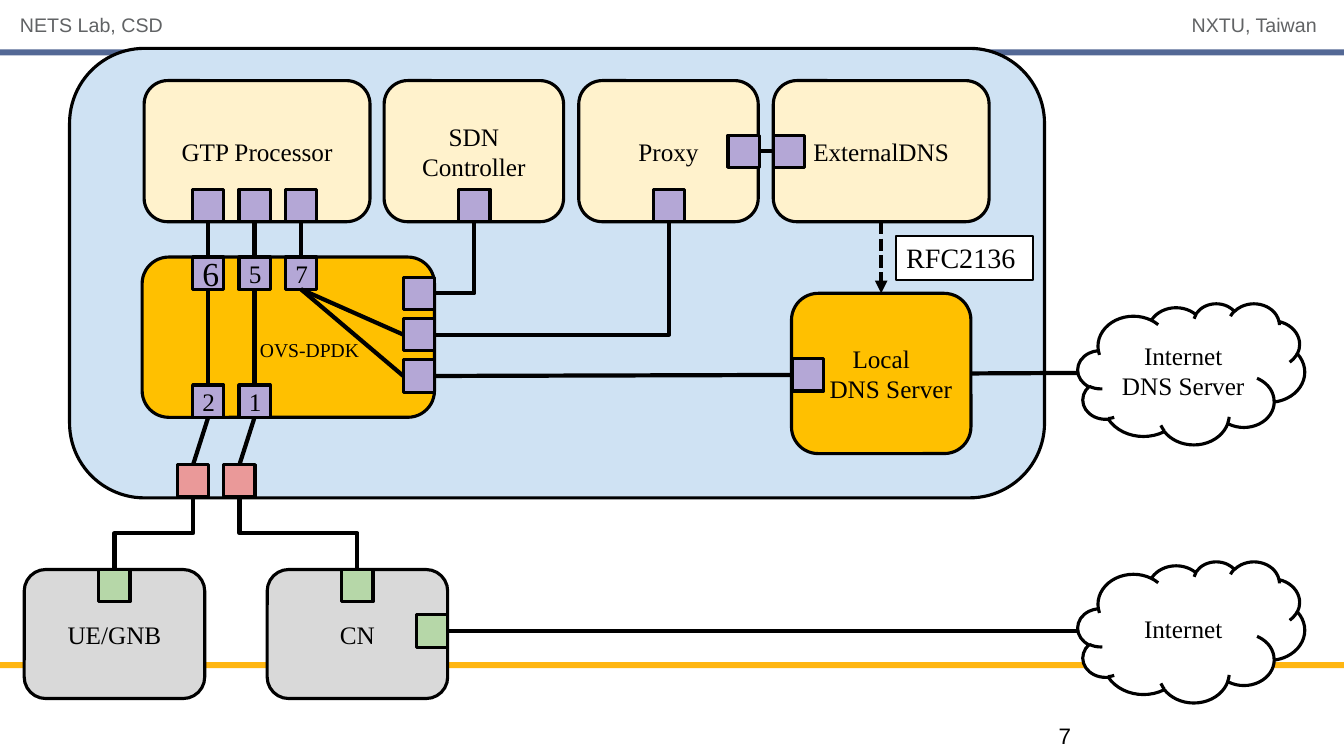
from lxml.etree import SubElement
from pptx import Presentation
from pptx.dml.color import RGBColor
from pptx.enum.dml import MSO_LINE as Dash
from pptx.enum.shapes import MSO_CONNECTOR as Wire, MSO_SHAPE as Form
from pptx.enum.text import MSO_ANCHOR as Anchor, PP_ALIGN as Align
from pptx.oxml.ns import qn
from pptx.util import Inches, Pt

BLACK = RGBColor(0x00, 0x00, 0x00)
WHITE = RGBColor(0xFF, 0xFF, 0xFF)
GRAY = RGBColor(0x61, 0x63, 0x65)
NAVY = RGBColor(0x53, 0x68, 0x95)
GOLD = RGBColor(0xFF, 0xB6, 0x12)
SKY = RGBColor(0xCF, 0xE2, 0xF3)
CREAM = RGBColor(0xFF, 0xF2, 0xCC)
AMBER = RGBColor(0xFF, 0xC0, 0x00)
SILVER = RGBColor(0xD9, 0xD9, 0xD9)
LILAC = RGBColor(0xB4, 0xA7, 0xD6)
GREEN = RGBColor(0xB6, 0xD7, 0xA8)
ROSE = RGBColor(0xEA, 0x99, 0x99)

SERIF, SANS = "Times New Roman", "Arial"
WIDE, HIGH = 0.31, 0.32  # port size
STEP, RISE = 0.46, 0.41  # port pitch across and down
TOP, LEFT, BOTTOM, RIGHT = range(4)


def write(shape, text, size, face=SERIF, color=BLACK, align=Align.CENTER, **frame):
    body = shape.text_frame
    for name, value in {"word_wrap": True, **frame}.items():
        setattr(body, name, value)
    body.text = text
    for par in body.paragraphs:
        par.alignment = align
        for name, value in {"name": face, "size": Pt(size)}.items():
            setattr(par.font, name, value)
        par.font.color.rgb = color


def draw(slide, form, box, fill, text="", size=18, edge=2.25, **fmt):
    shape = slide.shapes.add_shape(form, *map(Inches, box))
    shape.shadow.inherit = False
    shape.fill.solid()
    shape.fill.fore_color.rgb = fill
    if edge:
        shape.line.color.rgb = BLACK
        shape.line.width = Pt(edge)
    else:
        shape.line.fill.background()
    if text:
        write(shape, text, size, **fmt)
    return shape


def note(slide, box, text, size, **fmt):
    shape = slide.shapes.add_textbox(*map(Inches, box))
    write(shape, text, size, face=SANS, **fmt)
    return shape


def port(slide, x, y, fill=LILAC, text="", size=18):
    return draw(slide, Form.RECTANGLE, (x, y, WIDE, HIGH), fill, text, size)


def node(slide, box, fill, text, slots, tint=LILAC, **fmt):
    """Draw a rounded box and its ports, whose slots are offsets in the box."""
    x, y = box[:2]
    body = draw(slide, Form.ROUNDED_RECTANGLE, box, fill, text, **fmt)
    return body, [port(slide, x + dx, y + dy, tint, *mark) for dx, dy, *mark in slots]


def link(slide, start, side, end, stop=LEFT, form=Wire.STRAIGHT):
    """Join two shapes; end may also be a point (x, y)."""
    spot = tuple(map(Inches, end)) if isinstance(end, tuple) else (0, 0)
    wire = slide.shapes.add_connector(form, 0, 0, *spot)
    wire.begin_connect(start, side)
    if not isinstance(end, tuple):
        wire.end_connect(end, stop)
    wire.line.color.rgb = BLACK
    wire.line.width = Pt(3)
    SubElement(wire._element.spPr, qn("a:effectLst"))
    return wire


def corner(slide, start, end):
    """Run right from start, then up to the bottom of end."""
    wire = link(slide, start, RIGHT, end, BOTTOM, Wire.ELBOW)
    wire._element.spPr.find(qn("a:prstGeom")).set("prst", "bentConnector2")


def drop(slide, start, end):
    """Run down, across and down again, as a turned elbow."""
    wire = link(slide, start, BOTTOM, end, TOP, Wire.ELBOW)
    wide, high = wire.width, wire.height
    east = wire.end_x > wire.begin_x
    midx, midy = wire.left + wide // 2, wire.top + high // 2
    wire.left, wire.top = midx - high // 2, midy - wide // 2
    wire.width, wire.height = high, wide
    xfrm = wire._element.spPr.find(qn("a:xfrm"))
    for flip in ("flipH", "flipV"):
        xfrm.attrib.pop(flip, None)
    xfrm.set("rot", str((270 if east else 90) * 60000))
    if east:
        xfrm.set("flipH", "1")


def frame(slide, wide):
    for y, color in ((6.57, GOLD), (0.49, NAVY)):
        draw(slide, Form.RECTANGLE, (0, y, wide, 0.06), color, edge=0)
    for x, w, text, align in ((0.1, 5.87, "NETS Lab, CSD", Align.LEFT),
                              (10.26, 2.9, "NXTU, Taiwan", Align.RIGHT)):
        head = note(slide, (x, 0.09, w, 0.36), text, 14, color=GRAY, align=align)
        head.text_frame.paragraphs[0].line_spacing = Pt(16)
    note(slide, (10.5, 7.14, 2.67, 0.32), "7", 16, align=Align.LEFT,
         vertical_anchor=Anchor.MIDDLE, margin_left=0, margin_right=0,
         margin_top=0, margin_bottom=0)


def access(slide, x, y):
    """Draw the radio and core nodes; return their ports."""
    size = (1.79, 1.28)
    _, (radio,) = node(slide, (x, y, *size), SILVER, "UE/GNB", [(0.74, 0)], GREEN)
    _, (core, out) = node(slide, (x + 2.41, y, *size), SILVER, "CN",
                          [(0.74, 0), (1.48, 0.45)], GREEN)
    return radio, core, out


def host(slide, x, y, w, h):
    """Draw the server with its inner wiring; return the DNS node and uplinks."""
    draw(slide, Form.ROUNDED_RECTANGLE, (x, y, w, h), SKY)
    app = y + 0.32
    _, tunnel = node(slide, (x + 0.74, app, 2.24, 1.4), CREAM, "GTP Processor",
                     [(0.48 + i * STEP, 1.08) for i in range(3)])
    _, (ctrl,) = node(slide, (x + 3.12, app, 1.78, 1.4), CREAM, "SDN Controller",
                      [(0.74, 1.08)])
    _, (web, peer) = node(slide, (x + 5.05, app, 1.78, 1.4), CREAM, "Proxy",
                          [(0.74, 1.08), (1.48, 0.54)])
    names, (feed,) = node(slide, (x + 6.98, app, 2.14, 1.4), CREAM, "ExternalDNS",
                          [(0, 0.54)])

    marks = (("6", 24), ("5", 18), ("7", 18))
    slots = [(0.5 + i * STEP, 0, *mark) for i, mark in enumerate(marks)]
    slots += [(0.5 + i * STEP, 1.27, text) for i, text in enumerate("21")]
    slots += [(2.59, 0.2 + i * RISE) for i in range(3)]
    _, ports = node(slide, (x + 0.72, y + 2.07, 2.9, 1.59), AMBER, "OVS-DPDK", slots,
                    size=14, margin_left=Inches(0.52), margin_top=Inches(0.3))
    upper, lower, side = ports[:3], ports[3:5], ports[5:]
    local, (inlet,) = node(slide, (x + 7.16, y + 2.43, 1.78, 1.59), AMBER,
                           "Local\nDNS Server", [(0.01, 0.65)])
    for par, shift in zip(local.text_frame.paragraphs, (0, 0.19)):
        par._p.get_or_add_pPr().set("marL", str(Inches(shift)))
    uplinks = [port(slide, x + 1.07 + i * STEP, y + 4.13, ROSE) for i in range(2)]

    pairs = [*zip(tunnel, upper), *zip(upper, lower), *zip(lower, uplinks)]
    for start, end in pairs:
        link(slide, start, BOTTOM, end, TOP)
    for end in side[1:]:
        link(slide, upper[2], BOTTOM, end)
    corner(slide, side[0], ctrl)
    corner(slide, side[1], web)
    link(slide, side[2], RIGHT, inlet)
    link(slide, peer, RIGHT, feed)
    call = link(slide, names, BOTTOM, local, TOP)
    call.line.dash_style = Dash.SQUARE_DOT
    SubElement(call.line._get_or_add_ln(), qn("a:tailEnd"), type="triangle")
    draw(slide, Form.RECTANGLE, (x + 8.2, y + 1.86, 1.36, 0.44), WHITE, "RFC2136", 20,
         edge=1.5, align=Align.LEFT, vertical_anchor=Anchor.TOP)
    return local, uplinks


def cloud(slide, x, y, text, source):
    draw(slide, Form.CLOUD, (x, y, 2.25, 1.4), WHITE, text)
    link(slide, source, RIGHT, (x, y + 0.69))


def main():
    deck = Presentation()
    deck.slide_width, deck.slide_height = Inches(13.33), Inches(7.5)
    slide = deck.slides.add_slide(deck.slide_layouts[6])
    frame(slide, 13.33)
    radio, core, out = access(slide, 0.24, 5.65)
    local, uplinks = host(slide, 0.69, 0.48, 9.67, 4.46)
    for start, end in zip(uplinks, (radio, core)):
        drop(slide, start, end)
    cloud(slide, 10.69, 5.57, "Internet", out)
    cloud(slide, 10.69, 3.01, "Internet\nDNS Server", local)
    deck.save("out.pptx")


if __name__ == "__main__":
    main()
